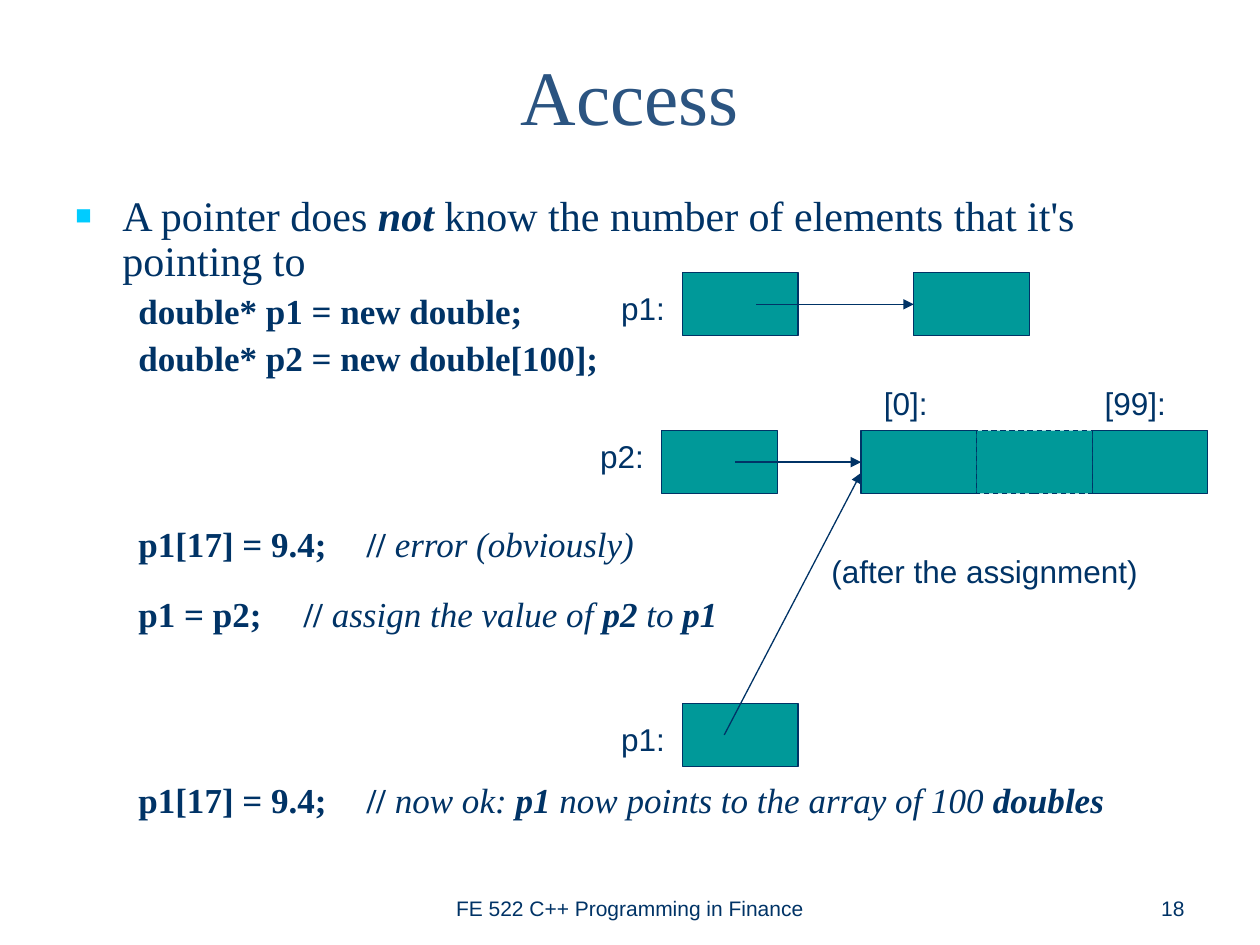
from dataclasses import dataclass
from typing import NamedTuple

from lxml import etree
from pptx import Presentation
from pptx.dml.color import RGBColor
from pptx.enum.dml import MSO_LINE_DASH_STYLE as Dash
from pptx.enum.shapes import MSO_CONNECTOR as Connector, MSO_SHAPE as Shape
from pptx.enum.text import MSO_ANCHOR as Anchor, PP_ALIGN as Align
from pptx.oxml.ns import qn
from pptx.util import Cm, Pt


@dataclass(frozen=True)
class Theme:
    title: str = "2B5481"
    ink: str = "003366"
    cell: str = "009999"
    bullet: str = "00CCFF"
    serif: str = "Times New Roman"
    sans: str = "Arial"
    title_size: int = 44
    lead_size: int = 24
    code_size: int = 20
    label_size: int = 18
    footer_size: int = 12
    line_width: float = 0.75


class Box(NamedTuple):
    """A rectangle in centimetres."""
    left: float
    top: float
    width: float
    height: float

    def inside(self, left, top, width, height):
        return Box(self.left + left, self.top + top, width, height)

    def lengths(self):
        return [Cm(value) for value in self]


THEME = Theme()
CELL_WIDTH, CELL_HEIGHT = 2.33, 1.27
PLAIN, BOLD = {}, {"bold": True}
ITALIC, BOLD_ITALIC = {"italic": True}, {"bold": True, "italic": True}

LEAD = [("A pointer does ", PLAIN), ("not", BOLD_ITALIC),
        (" know the number of elements that it's pointing to", PLAIN)]
# Space before in points, tab stop of the comment in cm, runs
CODE = [
    (5, None, [("double* p1 = new double;", BOLD)]),
    (5, None, [("double* p2 = new double[100];", BOLD)]),
    (84.7, 3.73, [("p1[17] = 9.4;\t// ", BOLD), ("error (obviously)", ITALIC)]),
    (18.4, 3.07, [("p1 = p2;\t// ", BOLD), ("assign the value of ", ITALIC),
                  ("p2", BOLD_ITALIC), (" to ", ITALIC), ("p1", BOLD_ITALIC)]),
    (84.7, 4.06, [("p1[17] = 9.4;\t// ", BOLD), ("now ok: ", ITALIC),
                  ("p1", BOLD_ITALIC),
                  (" now points to the array of 100 ", ITALIC),
                  ("doubles", BOLD_ITALIC)]),
]


def apply(target, values):
    for name, value in values.items():
        setattr(target, name, value)


def add_frame(slide, box, anchor=Anchor.TOP):
    frame = slide.shapes.add_textbox(*box.lengths()).text_frame
    apply(frame, {"word_wrap": True, "vertical_anchor": anchor})
    return frame


def add_runs(paragraph, runs, size, font=THEME.serif, color=THEME.ink):
    for text, style in runs:
        run = paragraph.add_run()
        run.text = text
        apply(run.font, {"name": font, "size": Pt(size), **style})
        run.font.color.rgb = RGBColor.from_string(color)


def add_label(slide, box, text, size=THEME.label_size, font=THEME.sans,
              color=THEME.ink, align=Align.LEFT, anchor=Anchor.TOP, before=0):
    paragraph = add_frame(slide, box, anchor).paragraphs[0]
    apply(paragraph, {"alignment": align, "space_before": Pt(before)})
    add_runs(paragraph, [(text, PLAIN)], size, font, color)


def add_diagram_label(slide, box, text):
    add_label(slide, box, text, before=11.2)


def set_indent(paragraph, margin, hanging):
    properties = paragraph._p.get_or_add_pPr()
    properties.set("marL", str(Cm(margin)))
    properties.set("indent", str(-Cm(hanging)))
    return properties


def add_bullet(properties):
    color = etree.SubElement(properties, qn("a:buClr"))
    etree.SubElement(color, qn("a:srgbClr"), val=THEME.bullet)
    etree.SubElement(properties, qn("a:buSzPct"), val="65000")
    etree.SubElement(properties, qn("a:buFont"), typeface=THEME.sans)
    etree.SubElement(properties, qn("a:buChar"), char="■")


def add_tab_stop(properties, position):
    tabs = etree.SubElement(properties, qn("a:tabLst"))
    etree.SubElement(tabs, qn("a:tab"), pos=str(Cm(position)), algn="l")


def add_body(slide, box):
    frame = add_frame(slide, box)
    lead = frame.paragraphs[0]
    apply(lead, {"line_spacing": 0.9, "space_before": Pt(6)})
    add_bullet(set_indent(lead, 0.95, 0.95))
    add_runs(lead, LEAD, THEME.lead_size)
    for before, tab, runs in CODE:
        paragraph = frame.add_paragraph()
        apply(paragraph, {"level": 1, "line_spacing": 0.9,
                          "space_before": Pt(before)})
        properties = set_indent(paragraph, 2.06, 0.79)
        if tab:
            add_tab_stop(properties, tab)
        add_runs(paragraph, runs, THEME.code_size)


def style_line(line):
    line.color.rgb = RGBColor.from_string(THEME.ink)
    line.width = Pt(THEME.line_width)


def add_cell(slide, box, left, top, dash=None):
    cell_box = box.inside(left, top, CELL_WIDTH, CELL_HEIGHT)
    cell = slide.shapes.add_shape(Shape.RECTANGLE, *cell_box.lengths())
    cell.shadow.inherit = False
    cell.fill.solid()
    cell.fill.fore_color.rgb = RGBColor.from_string(THEME.cell)
    style_line(cell.line)
    if dash:
        cell.line.dash_style = dash
    return cell_box


def add_arrow(slide, start, end):
    arrow = slide.shapes.add_connector(
        Connector.STRAIGHT, *(Cm(value) for value in (*start, *end)))
    style_line(arrow.line)
    etree.SubElement(arrow.line._get_or_add_ln(), qn("a:tailEnd"), type="triangle")
    etree.SubElement(arrow._element.spPr, qn("a:effectLst"))


def add_pointer(slide, box, name, left, top, label_drop):
    cell = add_cell(slide, box, left, top)
    add_diagram_label(slide, cell.inside(-1.49, label_drop, 1.9, 1.02), name)
    return cell


def add_level_arrow(slide, pointer, target):
    middle = pointer.top + CELL_HEIGHT / 2
    add_arrow(slide, (pointer.left + 1.48, middle), (target.left, middle))


def add_diagram(slide, box):
    """Pointers p1 and p2, their targets, and p1 after the assignment."""
    single = add_pointer(slide, box, "p1:", 1.91, 0, 0.21)
    add_level_arrow(slide, single, add_cell(slide, box, 6.57, 0))

    array_top = 3.18
    pointer = add_pointer(slide, box, "p2:", 1.49, array_top, 0)
    first, last, _ = [
        add_cell(slide, box, 5.51 + index * CELL_WIDTH, array_top, dash)
        for index, dash in ((0, None), (2, None), (1, Dash.DASH))]
    add_level_arrow(slide, pointer, first)
    add_diagram_label(slide, first.inside(0.21, -1.06, 1.7, 1.02), "[0]:")
    add_diagram_label(slide, last.inside(0, -1.06, CELL_WIDTH, 1.02), "[99]:")

    moved = add_pointer(slide, box, "p1:", 1.91, 8.68, 0.21)
    add_arrow(slide, (moved.left + 0.84, moved.top + CELL_HEIGHT / 2),
              (first.left, first.top + 0.85))
    add_diagram_label(slide, box.inside(4.66, 5.5, 6.78, 1.02),
                      "(after the assignment)")


def add_footer(slide, box):
    parts = [("FE 522 C++ Programming in Finance", 0, 8.04, Align.CENTER),
             ("18", 9.52, 5.93, Align.RIGHT)]
    for text, left, width, align in parts:
        add_label(slide, box.inside(left, 0, width, box.height), text,
                  THEME.footer_size, align=align, anchor=Anchor.BOTTOM)


def main():
    presentation = Presentation()
    apply(presentation, {"slide_width": Cm(25.4), "slide_height": Cm(19.05)})
    slide = presentation.slides.add_slide(presentation.slide_layouts[6])
    add_label(slide, Box(1.27, 0, 22.86, 3.81), "Access", THEME.title_size,
              THEME.serif, THEME.title, Align.CENTER, Anchor.MIDDLE)
    add_body(slide, Box(1.27, 3.81, 22.65, 13.76))
    add_diagram(slide, Box(11.85, 5.5, 12.5, 9.95))
    add_footer(slide, Box(8.68, 17.36, 15.45, 1.32))
    presentation.save("out.pptx")


if __name__ == "__main__":
    main()
